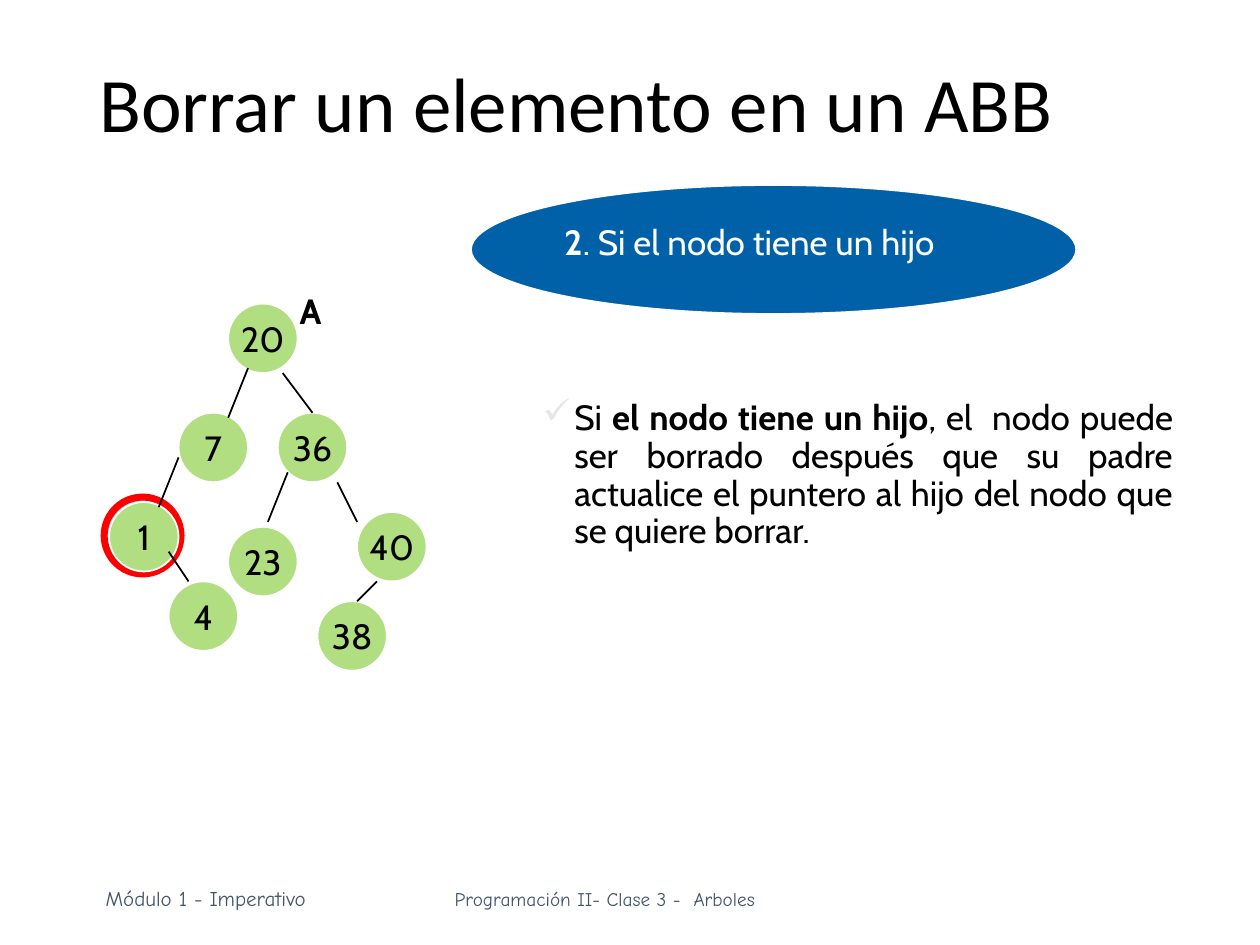
from lxml.etree import SubElement
from pptx import Presentation
from pptx.dml.color import RGBColor
from pptx.enum.shapes import MSO_CONNECTOR, MSO_SHAPE
from pptx.enum.text import MSO_ANCHOR, PP_ALIGN
from pptx.oxml.ns import qn
from pptx.util import Inches, Mm, Pt

COLORS = {
    "black": "000000",
    "white": "FFFFFF",
    "node": "B2DE82",
    "ring": "FF0000",
    "ring_fill": "BED1E0",
    "banner": "0060A8",
    "footer": "44546A",
    "check": "E7E6E6",
}
WIDTH, HEIGHT = Inches(10), Inches(7.5)
CELL = Mm(2)
TREE_TOP = Inches(2.41)
NODE_CELLS = 7
RING_CELLS = 7.75

NODES = [
    ("20", 23, 0),
    ("7", 18, 11),
    ("36", 28, 11),
    ("1", 11, 20),
    ("4", 17, 28),
    ("23", 23, 22.5),
    ("40", 36, 21),
    ("38", 32, 30),
]
EDGES = [
    ((25, 6.5), (23, 11.5)),
    ((28.5, 7), (31.5, 11)),
    ((18, 15.5), (16, 20.5)),
    ((17, 25), (19, 28)),
    ((29, 17), (27, 22)),
    ((34, 18), (36, 22)),
    ((38, 28), (36, 30)),
]


def color(name):
    return RGBColor.from_string(COLORS[name])


def share(left, top, width, height):
    return (int(WIDTH * left), int(HEIGHT * top),
            int(WIDTH * width), int(HEIGHT * height))


def grid_point(column, row):
    return int(CELL * column), int(TREE_TOP + CELL * row)


def grid_square(column, row, cells):
    side = int(CELL * cells)
    return (*grid_point(column, row), side, side)


def add_check(para):
    properties = para._p.get_or_add_pPr()
    properties.set("marL", str(Inches(0.25)))
    properties.set("indent", str(-Inches(0.25)))
    tint = SubElement(properties, qn("a:buClr"))
    SubElement(tint, qn("a:srgbClr"), val=COLORS["check"])
    SubElement(properties, qn("a:buChar"), char="✓")


def write_text(shape, *pieces, size=20, font="Cabin", ink="black", align=PP_ALIGN.LEFT,
               anchor=MSO_ANCHOR.TOP, wrap=True, spacing=1.0, check=False):
    frame = shape.text_frame
    frame.word_wrap = wrap
    frame.vertical_anchor = anchor
    para = frame.paragraphs[0]
    para.alignment = align
    para.line_spacing = spacing
    if check:
        add_check(para)
    for text, bold in pieces:
        span = para.add_run()
        span.text = text
        span.font.size = Pt(size)
        span.font.name = font
        span.font.bold = bold
        span.font.color.rgb = color(ink)


def add_text(page, area, *pieces, **style):
    box = page.shapes.add_textbox(*area)
    write_text(box, *pieces, **style)


def add_ellipse(page, area, fill, line, weight):
    ellipse = page.shapes.add_shape(MSO_SHAPE.OVAL, *area)
    ellipse.shadow.inherit = False
    ellipse.fill.solid()
    ellipse.fill.fore_color.rgb = color(fill)
    ellipse.line.color.rgb = color(line)
    ellipse.line.width = Pt(weight)
    return ellipse


def add_node(page, label, column, row):
    node = add_ellipse(page, grid_square(column, row, NODE_CELLS), "node", "white", 1)
    write_text(node, (label, False), align=PP_ALIGN.CENTER,
               anchor=MSO_ANCHOR.MIDDLE, wrap=False)


def add_edge(page, start, end):
    edge = page.shapes.add_connector(
        MSO_CONNECTOR.STRAIGHT, *grid_point(*start), *grid_point(*end))
    edge.line.color.rgb = color("black")
    edge.line.width = Pt(1)
    SubElement(edge._element.spPr, qn("a:effectLst"))


def add_tree(page):
    add_ellipse(page, grid_square(10.5, 19.5, RING_CELLS), "ring_fill", "ring", 4)
    for node in NODES:
        add_node(page, *node)
    for edge in EDGES:
        add_edge(page, *edge)
    add_text(page, share(0.228, 0.3, 0.039, 0.059), ("A", True))


def main():
    deck = Presentation()
    deck.slide_width, deck.slide_height = WIDTH, HEIGHT
    page = deck.slides.add_slide(deck.slide_layouts[6])
    add_text(page, share(0.351, 0.932, 0.259, 0.039),
             ("Programación II- Clase 3 -  Arboles", False),
             size=11, font="Comic Neue", ink="footer", wrap=False)
    add_text(page, share(0.074, 0.931, 0.179, 0.04), ("Módulo 1 - Imperativo", False),
             size=12, font="Comic Neue", ink="footer", wrap=False)
    add_text(page, share(0.421, 0.417, 0.52, 0.24),
             ("Si ", False), ("el nodo tiene un hijo", True),
             (", el  nodo puede ser borrado después que su padre actualice "
              "el puntero al hijo del nodo que se quiere borrar.", False),
             align=PP_ALIGN.JUSTIFY, spacing=0.9, check=True)
    add_tree(page)
    add_ellipse(page, share(0.374, 0.196, 0.48, 0.136), "banner", "white", 0.75)
    add_text(page, share(0.438, 0.227, 0.4, 0.112),
             ("2", True), (". Si el nodo tiene un hijo", False), ink="white")
    add_text(page, share(0.069, 0.017, 0.863, 0.193),
             ("Borrar un elemento en un ABB", False),
             size=44, font="Calibri", anchor=MSO_ANCHOR.MIDDLE, spacing=0.9)
    deck.save("out.pptx")


if __name__ == "__main__":
    main()
